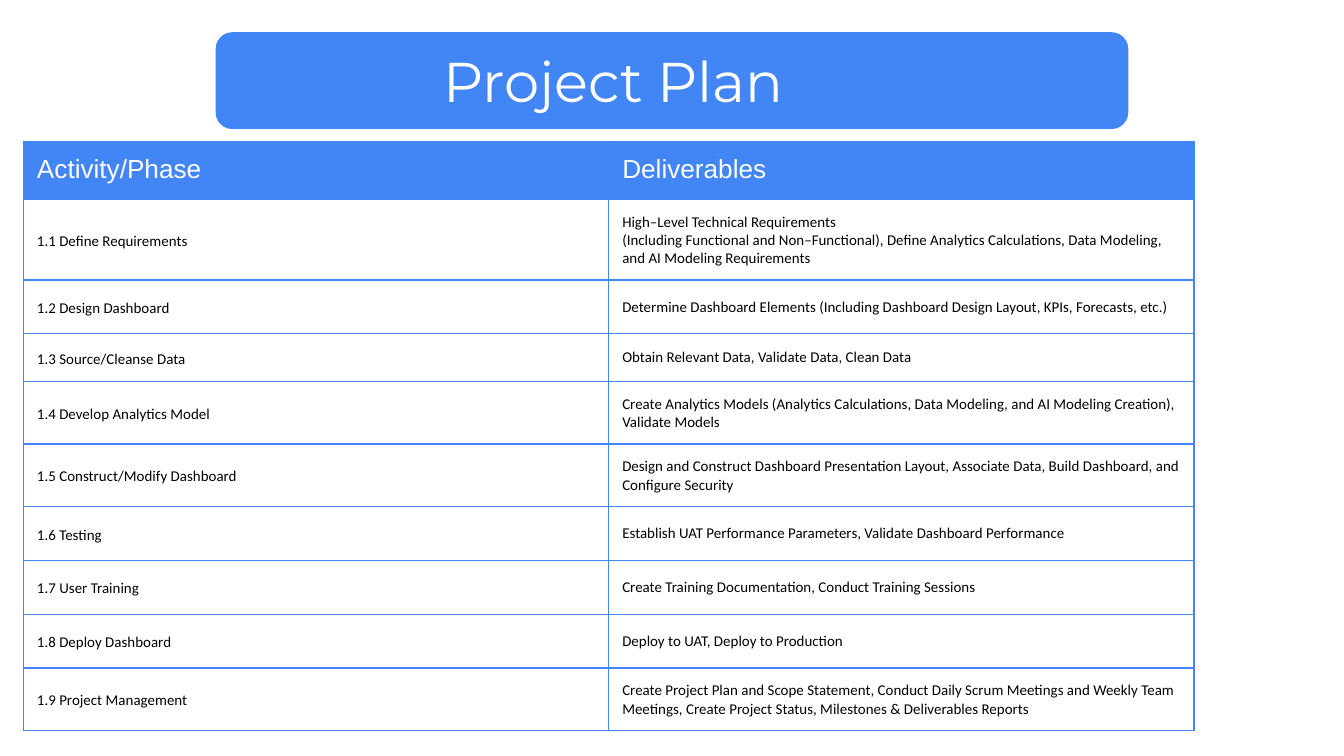
from lxml.etree import SubElement
from pptx import Presentation
from pptx.dml.color import RGBColor
from pptx.enum.shapes import MSO_SHAPE
from pptx.enum.text import MSO_ANCHOR, MSO_AUTO_SIZE, PP_ALIGN
from pptx.oxml.ns import qn
from pptx.util import Pt

PX = 4572
BLUE = RGBColor(0x42, 0x85, 0xF4)
WHITE = RGBColor(0xFF, 0xFF, 0xFF)
BLACK = RGBColor(0x00, 0x00, 0x00)

HEADINGS = ("Activity/Phase", "Deliverables")
PHASES = [
    (116, "1.1 Define Requirements",
     ["High–Level Technical Requirements",
      "(Including Functional and Non–Functional), Define Analytics Calculations, "
      "Data Modeling, and AI Modeling Requirements"]),
    (80, "1.2 Design Dashboard",
     ["Determine Dashboard Elements (Including Dashboard Design Layout, KPIs, "
      "Forecasts, etc.)"]),
    (70, "1.3 Source/Cleanse Data",
     ["Obtain Relevant Data, Validate Data, Clean Data"]),
    (90, "1.4 Develop Analytics Model",
     ["Create Analytics Models (Analytics Calculations, Data Modeling, and "
      "AI Modeling Creation), Validate Models"]),
    (90, "1.5 Construct/Modify Dashboard",
     ["Design and Construct Dashboard Presentation Layout, Associate Data, "
      "Build Dashboard, and Configure Security"]),
    (80, "1.6 Testing",
     ["Establish UAT Performance Parameters, Validate Dashboard Performance"]),
    (80, "1.7 User Training",
     ["Create Training Documentation, Conduct Training Sessions"]),
    (80, "1.8 Deploy Dashboard",
     ["Deploy to UAT, Deploy to Production"]),
    (90, "1.9 Project Management",
     ["Create Project Plan and Scope Statement, Conduct Daily Scrum Meetings and "
      "Weekly Team Meetings, Create Project Status, Milestones & Deliverables Reports"]),
]


def set_insets(holder):
    """Give a cell or text frame the same inset on every side."""
    holder.margin_left = holder.margin_right = 20 * PX
    holder.margin_top = holder.margin_bottom = 20 * PX


def write(paragraph, wording, size, font_name, color):
    """Add one left-aligned run to a paragraph."""
    paragraph.alignment = PP_ALIGN.LEFT
    run = paragraph.add_run()
    run.text = wording
    run.font.size = Pt(size)
    run.font.name = font_name
    run.font.bold = False
    run.font.color.rgb = color


def outline(cell):
    """Draw a thin blue border on all four sides of a cell."""
    properties = cell._tc.get_or_add_tcPr()
    for side in ("a:lnL", "a:lnR", "a:lnT", "a:lnB"):
        border = SubElement(properties, qn(side), w=str(Pt(0.75)))
        border_fill = SubElement(border, qn("a:solidFill"))
        SubElement(border_fill, qn("a:srgbClr"), val=str(BLUE))


def add_banner(slide, left, top, width, height):
    """Place the rounded banner with the slide title on it."""
    banner = slide.shapes.add_shape(
        MSO_SHAPE.ROUNDED_RECTANGLE, left * PX, top * PX, width * PX, height * PX)
    banner.shadow.inherit = False
    banner.fill.solid()
    banner.fill.fore_color.rgb = BLUE
    banner.line.color.rgb = BLUE
    banner.line.width = Pt(0.75)

    title = slide.shapes.title
    title.left, title.top = (left + 318) * PX, top * PX
    title.width, title.height = 606 * PX, height * PX
    banner._element.addnext(title._element)
    frame = title.text_frame
    frame.word_wrap = True
    frame.auto_size = MSO_AUTO_SIZE.SHAPE_TO_FIT_TEXT
    frame.vertical_anchor = MSO_ANCHOR.TOP
    set_insets(frame)
    write(frame.paragraphs[0], "Project Plan", 30, "Montserrat", WHITE)


def fill_heading(cell, heading):
    """Format one heading cell."""
    cell.fill.solid()
    cell.fill.fore_color.rgb = BLUE
    write(cell.text_frame.paragraphs[0], heading, 14, "Arial", WHITE)


def fill_entry(cell, lines):
    """Format one body cell, with a paragraph for each line."""
    cell.fill.background()
    cell.vertical_anchor = MSO_ANCHOR.MIDDLE
    frame = cell.text_frame
    for index, line in enumerate(lines):
        paragraph = frame.add_paragraph() if index else frame.paragraphs[0]
        write(paragraph, line, 8, "Calibri", BLACK)


def add_plan(slide, left, top, width, height):
    """Place the table of phases and their deliverables."""
    row_heights = [84] + [row_height for row_height, _, _ in PHASES]
    frame = slide.shapes.add_table(
        len(row_heights), len(HEADINGS), left * PX, top * PX, width * PX, height * PX)
    plan = frame.table
    plan.first_row = plan.horz_banding = False
    for column in plan.columns:
        column.width = 871 * PX
    for row, row_height in zip(plan.rows, row_heights):
        row.height = row_height * PX
    frame.width, frame.height = width * PX, height * PX
    for cell in plan.iter_cells():
        set_insets(cell)
        outline(cell)
    for index, heading in enumerate(HEADINGS):
        fill_heading(plan.cell(0, index), heading)
    for index, (_, phase, deliverables) in enumerate(PHASES, 1):
        phase_cell = plan.cell(index, 0)
        fill_entry(phase_cell, [phase])
        phase_line = phase_cell.text_frame.paragraphs[0]
        phase_line.line_spacing = 1.15
        phase_line.space_after = Pt(12)
        fill_entry(plan.cell(index, 1), deliverables)


def main():
    """Build the project plan slide."""
    deck = Presentation()
    deck.slide_width, deck.slide_height = 2000 * PX, 1125 * PX
    slide = deck.slides.add_slide(deck.slide_layouts.get_by_name("Title Only"))
    add_banner(slide, 322, 49, 1356, 142)
    add_plan(slide, 35, 210, 656, 656)
    deck.save("out.pptx")


if __name__ == "__main__":
    main()
